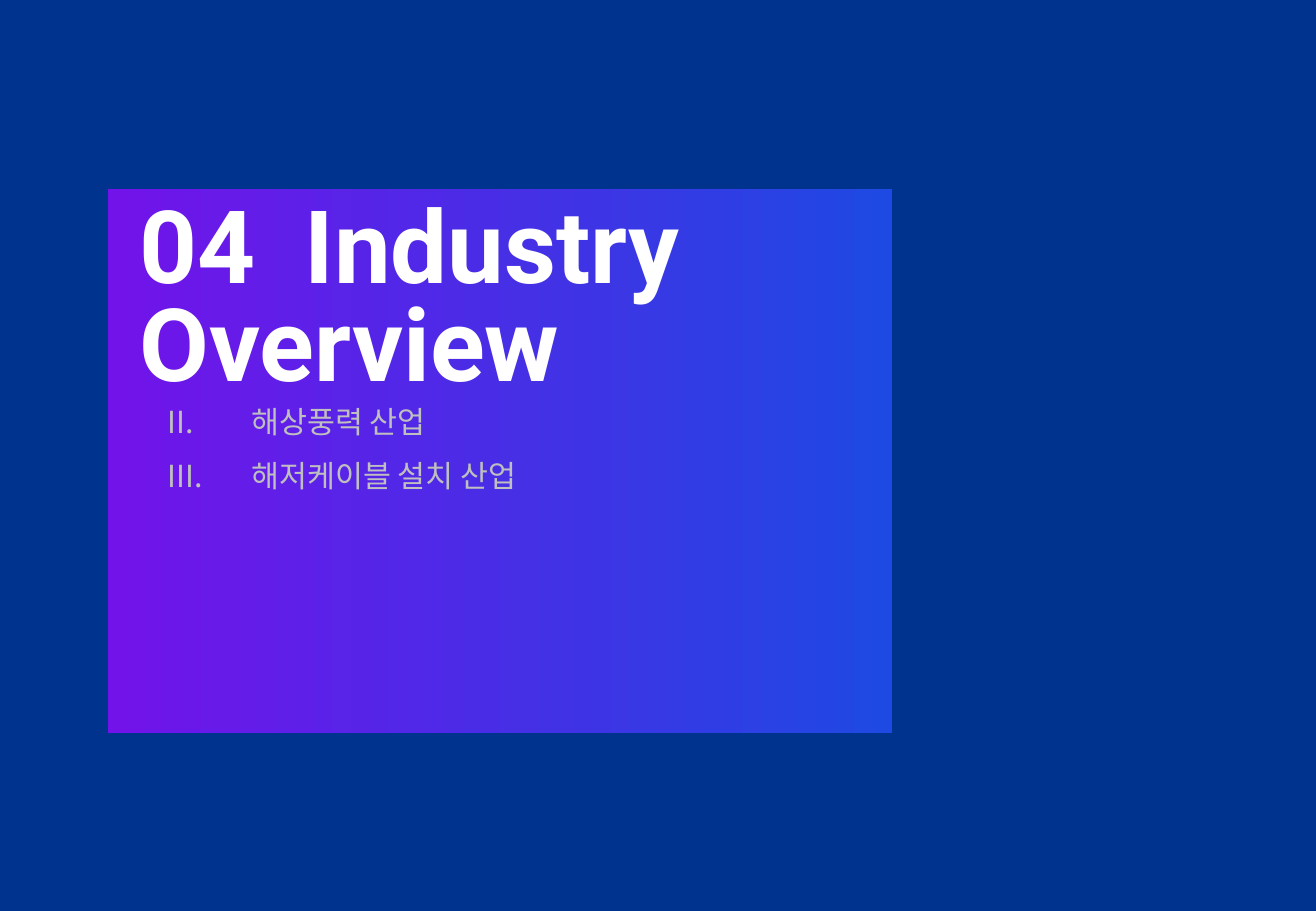
from dataclasses import dataclass

from lxml.etree import SubElement
from pptx import Presentation
from pptx.dml.color import RGBColor as Rgb
from pptx.enum.shapes import MSO_SHAPE as Shape
from pptx.enum.text import MSO_ANCHOR as Anchor, MSO_AUTO_SIZE as AutoSize, PP_ALIGN as Align
from pptx.oxml.ns import qn
from pptx.util import Pt


@dataclass(frozen=True)
class Theme:
    background: Rgb = Rgb(0x00, 0x33, 0x8D)
    violet: Rgb = Rgb(0x72, 0x13, 0xEA)
    blue: Rgb = Rgb(0x1E, 0x49, 0xE2)
    heading: Rgb = Rgb(0xFF, 0xFF, 0xFF)
    muted: Rgb = Rgb(0xBF, 0xBF, 0xBF)
    heading_font: str = "Roboto"
    agenda_font: str = "Noto Sans CJK KR"
    heading_size: int = 60
    agenda_size: int = 18


THEME = Theme()
NO_GRID_STYLE = "{2D5ABB26-0587-4C30-8999-92F81FD0307C}"
AGENDA = {2: ("II.", "해상풍력 산업"), 3: ("III.", "해저케이블 설치 산업")}
ROW_HEIGHTS = [22] + [32] * 3 + [23] * 4


def write(frame, text, *, font, size, color, bold=False, margins=(0, 0, 0, 0),
          anchor=Anchor.TOP, line_spacing=None, space_after=None, tab=None):
    frame.word_wrap = True
    frame.auto_size = AutoSize.NONE
    set_margins(frame, margins)
    frame.vertical_anchor = anchor
    fill_paragraph(frame.paragraphs[0], text, font, size, color, bold,
                   line_spacing, space_after, tab)


def set_margins(holder, margins):
    (holder.margin_left, holder.margin_top,
     holder.margin_right, holder.margin_bottom) = map(Pt, margins)


def fill_paragraph(paragraph, text, font, size, color, bold=False,
                   line_spacing=None, space_after=None, tab=None):
    paragraph.alignment = Align.LEFT
    paragraph.line_spacing = line_spacing
    if space_after is not None:
        paragraph.space_after = Pt(space_after)
    if tab is not None:
        stops = SubElement(paragraph._p.get_or_add_pPr(), qn("a:tabLst"))
        SubElement(stops, qn("a:tab"), pos=str(Pt(tab)), algn="l")
    run = paragraph.add_run()
    run.text = text
    run.font.name = font
    run.font.size = Pt(size)
    run.font.bold = bold
    run.font.color.rgb = color
    SubElement(run._r.get_or_add_rPr(), qn("a:ea"), typeface=font)


def add_panel(slide, left, top, width, height):
    panel = slide.shapes.add_shape(Shape.RECTANGLE, Pt(left), Pt(top), Pt(width), Pt(height))
    panel.shadow.inherit = False
    panel.line.fill.background()
    panel.fill.gradient()
    panel.fill.gradient_angle = 0
    for stop, color in zip(panel.fill.gradient_stops, (THEME.violet, THEME.blue)):
        stop.color.rgb = color
    slide.shapes._spTree.insert(2, panel._element)


def add_heading(slide, left, top, width, height):
    heading = slide.shapes.title
    heading.left, heading.top, heading.width, heading.height = map(Pt, (left, top, width, height))
    write(heading.text_frame, "04\tIndustry Overview", font=THEME.heading_font,
          size=THEME.heading_size, color=THEME.heading, bold=True,
          line_spacing=0.8, space_after=6, tab=98)


def add_agenda(slide, left, top, width, number_width):
    frame = slide.shapes.add_table(len(ROW_HEIGHTS), 2, Pt(left), Pt(top),
                                   Pt(width), Pt(sum(ROW_HEIGHTS)))
    agenda = frame.table
    agenda.first_row = agenda.horz_banding = False
    agenda._tbl.tblPr.find(qn("a:tableStyleId")).text = NO_GRID_STYLE
    agenda.columns[0].width = Pt(number_width)
    agenda.columns[1].width = Pt(width - number_width)
    for index, height in enumerate(ROW_HEIGHTS):
        agenda.rows[index].height = Pt(height)
        for cell, text in zip(agenda.rows[index].cells, AGENDA.get(index, ("", ""))):
            cell.fill.background()
            cell.vertical_anchor = Anchor.MIDDLE
            paragraph = cell.text_frame.paragraphs[0]
            if text:
                set_margins(cell, (5.76, 2.88, 8.64, 2.88))
                fill_paragraph(paragraph, text, THEME.agenda_font, THEME.agenda_size, THEME.muted)
            else:
                set_margins(cell, (0, 0, 0, 0))
                SubElement(paragraph._p, qn("a:endParaRPr"), sz="1200")


def add_section_slide(deck, left, top, width, height):
    slide = deck.slides.add_slide(deck.slide_layouts[5])
    slide.background.fill.solid()
    slide.background.fill.fore_color.rgb = THEME.background
    add_panel(slide, left, top, width, height)
    add_heading(slide, left + 18.7, top + 10, width - 21.6, 57)
    add_agenda(slide, left + 29.5, top + 67, 381, 49.7)


def main():
    deck = Presentation()
    deck.slide_width, deck.slide_height = Pt(780), Pt(540)
    add_section_slide(deck, 64, 112.2, 464.5, 322.6)
    deck.save("out.pptx")


if __name__ == "__main__":
    main()
